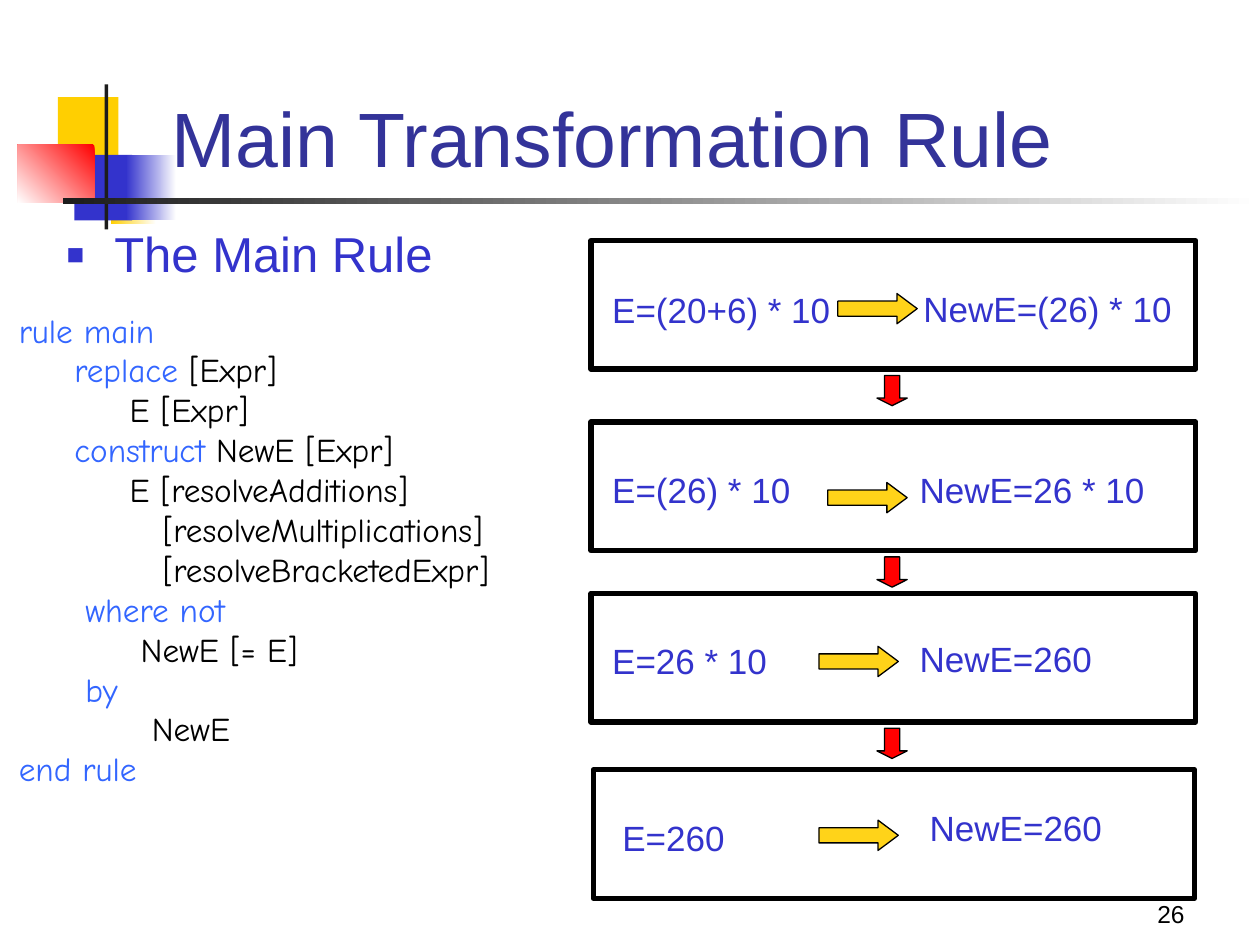
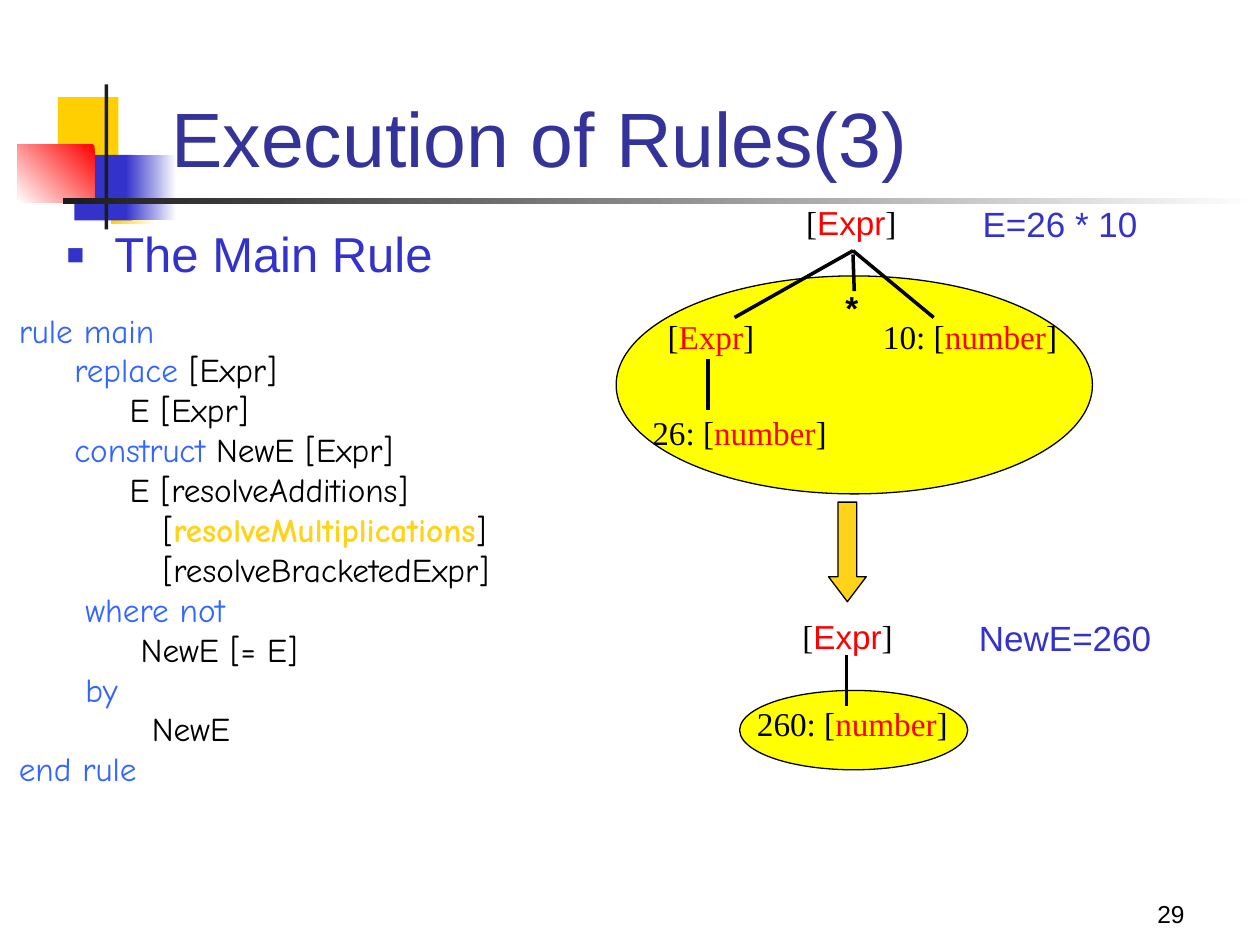
from dataclasses import dataclass

import lxml.etree
import pptx
import pptx.dml.color
import pptx.enum.shapes
import pptx.enum.text
import pptx.oxml.ns
import pptx.util

Inches = pptx.util.Inches
Pt = pptx.util.Pt
SHAPE = pptx.enum.shapes.MSO_SHAPE
ANCHOR = pptx.enum.text.MSO_ANCHOR
ALIGN = pptx.enum.text.PP_ALIGN


@dataclass(frozen=True)
class Theme:
    title: str = "333399"
    blue: str = "3333CC"
    keyword: str = "3366FF"
    symbol: str = "FF0000"
    gold: str = "FFCF01"
    amber: str = "FFD319"
    yellow: str = "FFFF00"
    dark: str = "1C1C1C"
    black: str = "000000"
    white: str = "FFFFFF"
    sans: str = "Arial"
    serif: str = "Times New Roman"
    code: str = "Comic Neue"
    title_size: int = 44
    heading_size: int = 28
    label_size: int = 20
    code_size: int = 19
    number_size: int = 14


T = Theme()

CODE_LINES = [  # leading text, keyword, rest
    ("", "rule main", ""),
    ("     ", "replace", " [Expr]"),
    ("          E [Expr]", "", ""),
    ("     ", "construct", " NewE [Expr]"),
    ("          E [resolveAdditions]", "", ""),
    ("             [resolveMultiplications]", "", ""),
    ("             [resolveBracketedExpr]", "", ""),
    ("      ", "where not", ""),
    ("           NewE [= E]", "", ""),
    ("      ", "by", ""),
    ("            NewE", "", ""),
    ("", "end rule", ""),
]


def rgb(colour):
    return pptx.dml.color.RGBColor.from_string(colour)


def inches(box):
    return [Inches(v) for v in box]


def style(font, size, colour, name=T.sans, bold=None):
    font.size, font.name, font.bold = Pt(size), name, bold
    font.color.rgb = rgb(colour)


def add_runs(p, runs):
    """Each run is (text, settings); settings may hold colour, name and bold."""
    for text, settings in runs:
        if not text:
            continue
        r = p.add_run()
        r.text = text
        if "colour" in settings:
            r.font.color.rgb = rgb(settings["colour"])
        if "name" in settings:
            r.font.name = settings["name"]
        if "bold" in settings:
            r.font.bold = settings["bold"]


def add_text(s, box, text="", size=T.label_size, colour=T.blue, name=T.sans,
             bold=None, inset=(0.1, 0.05)):
    """Add a text box with one styled paragraph and return its frame."""
    tf = s.shapes.add_textbox(*inches(box)).text_frame
    tf.word_wrap = True
    tf.margin_left = tf.margin_right = Inches(inset[0])
    tf.margin_top = tf.margin_bottom = Inches(inset[1])
    p = tf.paragraphs[0]
    if text:
        p.text = text
    style(p.font, size, colour, name, bold)
    return tf


def add_shape(s, kind, box, fill=None, line=None, width=0.75):
    sp = s.shapes.add_shape(kind, *inches(box))
    sp.shadow.inherit = False
    if fill:
        sp.fill.solid()
        sp.fill.fore_color.rgb = rgb(fill)
    else:
        sp.fill.background()
    if line:
        sp.line.color.rgb = rgb(line)
        sp.line.width = Pt(width)
    else:
        sp.line.fill.background()
    return sp


def add_fade(s, box, start, end, angle=180):
    sp = add_shape(s, SHAPE.RECTANGLE, box)
    sp.fill.gradient()
    sp.fill.gradient_angle = angle
    for stop, colour in zip(sp.fill.gradient_stops, (start, end)):
        stop.color.rgb = rgb(colour)


def add_arrow(s, box, fill, head, rotation=0):
    sp = add_shape(s, SHAPE.RIGHT_ARROW, box, fill, T.black)
    sp.adjustments[1] = head
    sp.rotation = rotation


def add_branch(s, x1, y1, x2, y2):
    c = s.shapes.add_connector(pptx.enum.shapes.MSO_CONNECTOR.STRAIGHT,
                               *inches((x1, y1, x2, y2)))
    c.line.color.rgb = rgb(T.black)
    c.line.width = Pt(2)
    lxml.etree.SubElement(c.element.spPr, pptx.oxml.ns.qn("a:effectLst"))


def add_emblem(s):
    """Coloured squares and crossing bars behind the title."""
    add_shape(s, SHAPE.RECTANGLE, (0.46, 0.77, 0.48, 0.52), T.gold)
    add_fade(s, (0.88, 1.26, 0.36, 0.52), T.white, T.gold)
    add_shape(s, SHAPE.RECTANGLE, (0.59, 1.23, 0.46, 0.52), T.blue)
    add_fade(s, (1, 1.23, 0.4, 0.52), T.white, T.blue)
    add_fade(s, (0.14, 1.15, 0.61, 0.46), T.symbol, T.white, 225)
    add_shape(s, SHAPE.RECTANGLE, (0.83, 0.67, 0.03, 1.15), T.dark)
    add_fade(s, (0.5, 1.57, 9.5, 0.05), T.white, T.dark)


def add_heading(s, box, text):
    p = add_text(s, box).paragraphs[0]
    p.text = text
    p.line_spacing = 0.9
    pPr = p._p.get_or_add_pPr()
    pPr.set("marL", str(Inches(0.38)))
    pPr.set("indent", str(-Inches(0.38)))
    qn = pptx.oxml.ns.qn
    defaults = pPr.find(qn("a:defRPr"))
    colour = lxml.etree.Element(qn("a:buClr"))
    lxml.etree.SubElement(colour, qn("a:srgbClr"), val=T.blue)
    defaults.addprevious(colour)
    for tag, key, value in (("a:buSzPct", "val", "60000"),
                            ("a:buFont", "typeface", T.sans),
                            ("a:buChar", "char", "■")):
        bullet = lxml.etree.Element(qn(tag))
        bullet.set(key, value)
        defaults.addprevious(bullet)
    style(p.font, T.heading_size, T.blue)


def add_code(s, box, highlight=None):
    tf = add_text(s, box, inset=(0, 0.05))
    for i, (lead, keyword, rest) in enumerate(CODE_LINES):
        p = tf.add_paragraph() if i else tf.paragraphs[0]
        style(p.font, T.code_size, T.black, T.code)
        if highlight and highlight in lead:
            before, found, after = lead.partition(highlight)
            runs = [(before, {}), (found, {"colour": T.amber, "bold": True}), (after, {})]
        else:
            runs = [(lead, {}), (keyword, {"colour": T.keyword}), (rest, {})]
        add_runs(p, runs)


def add_rule_slide(prs, title, number, highlight=None):
    """Slide with the shared frame and the main rule on the left."""
    s = prs.slides.add_slide(prs.slide_layouts[5])
    add_emblem(s)
    sp = s.shapes.title
    s.shapes.element.append(sp.element)  # bring in front of the emblem
    sp.left, sp.top, sp.width, sp.height = inches((1.26, 0.13, 8.52, 1.37))
    tf = sp.text_frame
    tf.text = title
    tf.auto_size = pptx.enum.text.MSO_AUTO_SIZE.NONE
    tf.vertical_anchor = ANCHOR.BOTTOM
    p = tf.paragraphs[0]
    p.alignment = ALIGN.LEFT
    style(p.font, T.title_size, T.title)
    tf = add_text(s, (7.42, 6.92, 2.08, 0.5), number, T.number_size, T.black)
    tf.vertical_anchor = ANCHOR.BOTTOM
    tf.paragraphs[0].alignment = ALIGN.RIGHT
    add_heading(s, (0.43, 1.78, 3.9, 0.55), "The Main Rule")
    add_code(s, (0.15, 2.41, 4.06, 4.22), highlight)
    return s


def add_step(s, box, before, after, places):
    """Framed rewriting step; places are offsets of before, arrow and after."""
    x, y = box[:2]
    (bx, by), (ax, ay), (nx, ny) = places
    add_shape(s, SHAPE.RECTANGLE, box, line=T.black, width=3)
    add_text(s, (x + bx, y + by, 2.01, 0.44), before)
    add_text(s, (x + nx, y + ny, 2.2, 0.44), after)
    add_arrow(s, (x + ax, y + ay, 0.63, 0.24), T.amber, 0.67)


def add_steps(s):
    steps = [
        ((4.69, 1.91, 4.8, 1.02), "E=(20+6) * 10", "NewE=(26) * 10",
         ((0.07, 0.33), (1.96, 0.42), (2.54, 0.32))),
        ((4.69, 3.35, 4.8, 1.02), "E=(26) * 10", "NewE=26 * 10",
         ((0.07, 0.32), (1.88, 0.48), (2.51, 0.32))),
        ((4.69, 4.71, 4.8, 1.02), "E=26 * 10", "NewE=260",
         ((0.07, 0.32), (1.81, 0.42), (2.51, 0.3))),
        ((4.71, 6.11, 4.77, 1.02), "E=260", "NewE=260",
         ((0.13, 0.32), (1.79, 0.4), (2.57, 0.24))),
    ]
    for step in steps:
        add_step(s, *step)
    for (_, top, _, height), *_ in steps[:-1]:
        add_arrow(s, (6.96, top + height + 0.05, 0.24, 0.24), T.symbol, 0.25, 90)


def add_node(s, box, symbol, value="", symbol_font=T.serif):
    """Tree node written as value: [symbol]."""
    tf = add_text(s, box, size=T.code_size, colour=T.black, name=T.serif)
    add_runs(tf.paragraphs[0], [(f"{value}[", {}),
                                (symbol, {"colour": T.symbol, "name": symbol_font}),
                                ("]", {})])


def add_product_tree(s, x, y):
    add_shape(s, SHAPE.OVAL, (x, y + 0.63, 3.78, 1.73), T.yellow, T.black)
    add_text(s, (x + 2.81, y, 2.06, 0.44), "E=26 * 10")
    add_node(s, (x + 1.41, y, 1.1, 0.42), "Expr", symbol_font=T.sans)
    add_node(s, (x + 0.31, y + 0.9, 1.1, 0.42), "Expr")
    add_node(s, (x + 0.19, y + 1.66, 1.8, 0.42), "number", "26: ")
    add_node(s, (x + 2.02, y + 0.9, 1.8, 0.42), "number", "10: ")
    add_text(s, (x + 1.82, y + 0.72, 0.47, 0.32), "*", T.code_size, T.black,
             bold=True, inset=(0, 0))
    for x1, y1, x2, y2 in ((1.88, 0.43, 0.94, 0.96), (0.73, 1.29, 0.73, 1.69),
                           (1.88, 0.43, 2.52, 0.96), (1.88, 0.46, 1.89, 0.75)):
        add_branch(s, x + x1, y + y1, x + x2, y + y2)


def add_result_tree(s, x, y):
    add_shape(s, SHAPE.OVAL, (x, y + 0.64, 1.81, 0.63), T.yellow, T.black)
    add_text(s, (x + 1.8, y, 2.05, 0.44), "NewE=260")
    add_node(s, (x + 0.4, y, 1.1, 0.42), "Expr", symbol_font=T.sans)
    add_branch(s, x + 0.85, y + 0.36, x + 0.85, y + 0.76)
    add_node(s, (x + 0.04, y + 0.69, 1.9, 0.42), "number", "260: ")


def main():
    prs = pptx.Presentation()
    prs.slide_width, prs.slide_height = Inches(10), Inches(7.5)

    add_steps(add_rule_slide(prs, "Main Transformation Rule", "26"))

    s = add_rule_slide(prs, "Execution of Rules(3)", "29", "resolveMultiplications")
    add_product_tree(s, 4.89, 1.56)
    add_arrow(s, (6.33, 4.23, 0.79, 0.3), T.amber, 0.66, 90)
    add_result_tree(s, 5.87, 4.84)

    prs.save("out.pptx")


if __name__ == "__main__":
    main()
